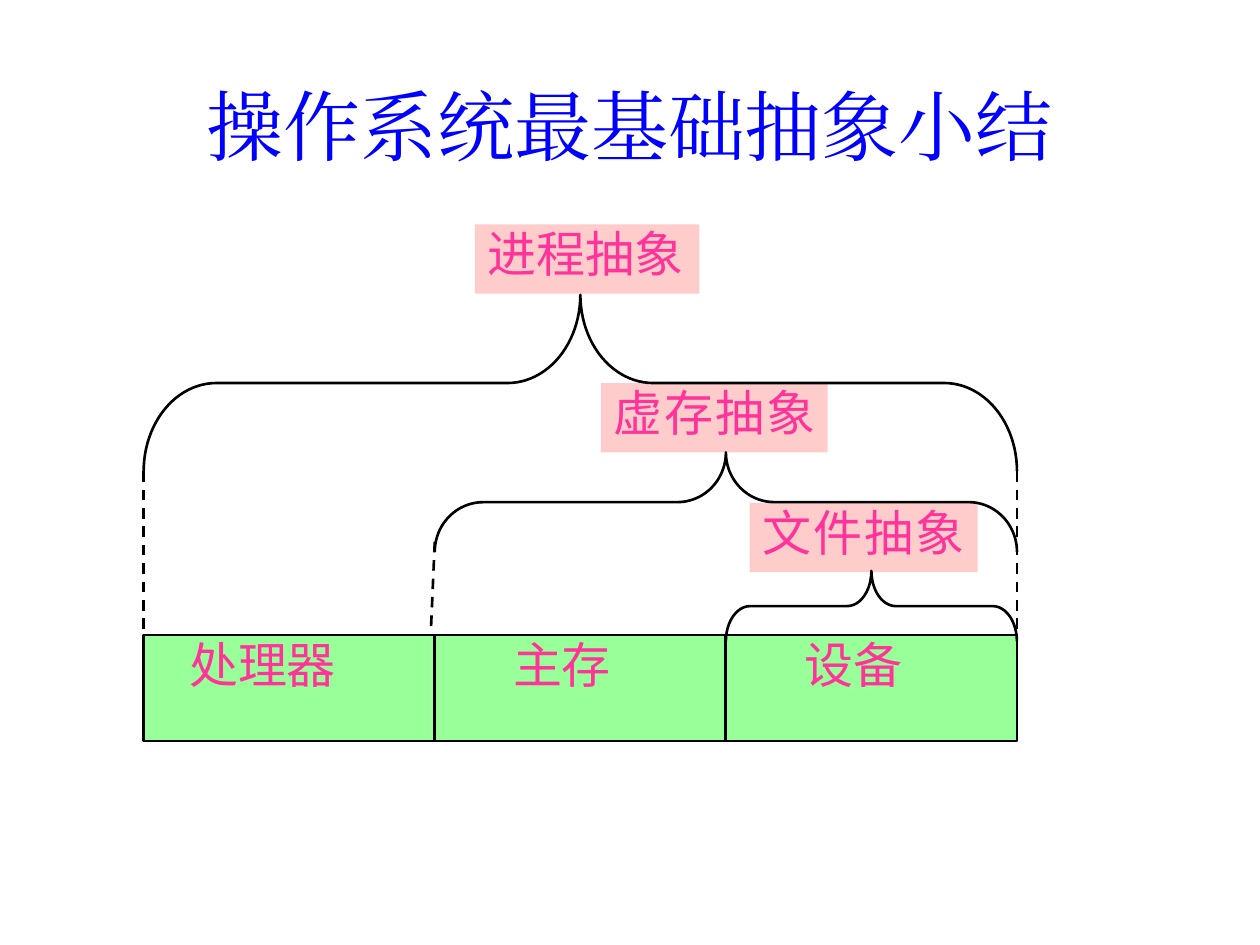
from dataclasses import dataclass

from lxml import etree
from pptx import Presentation
from pptx.dml.color import RGBColor
from pptx.enum.dml import MSO_LINE_DASH_STYLE as Dash
from pptx.enum.shapes import MSO_CONNECTOR as Link, MSO_SHAPE as Shape
from pptx.enum.text import MSO_ANCHOR as Anchor, PP_ALIGN as Align
from pptx.oxml.ns import qn
from pptx.util import Pt


@dataclass(frozen=True)
class Theme:
    title: RGBColor = RGBColor(0x00, 0x00, 0xFF)
    text: RGBColor = RGBColor(0xFF, 0x33, 0x99)
    label: RGBColor = RGBColor(0xFF, 0xCC, 0xCC)
    cell: RGBColor = RGBColor(0x99, 0xFF, 0x99)
    line: RGBColor = RGBColor(0x00, 0x00, 0x00)
    title_font: str = "Times New Roman"
    text_font: str = "Noto Sans CJK JP"
    title_size: int = 44
    text_size: int = 28
    line_width: float = 1.5


@dataclass(frozen=True)
class Box:
    left: float
    top: float
    width: float
    height: float

    def lengths(self):
        return [Pt(v) for v in (self.left, self.top, self.width, self.height)]


THEME = Theme()

# Label text, offset from the diagram's corner, width, letter spacing,
# first cell under the brace, brace top and depth
ABSTRACTIONS = [
    ("文件抽象", 346.3, 159.1, 130.3, 1.3, 2, 198, 40.3),
    ("虚存抽象", 261.3, 90.7, 129.6, 1.3, 1, 130.3, 56.9),
    ("进程抽象", 189.3, 0, 128.2, 0, 0, 40.3, 100.8),
]
LABEL_HEIGHT = 39.6
# Cell text and its left margin
RESOURCES = [("处理器", 26), ("主存", 44.8), ("设备", 44.8)]
CELL_HEIGHT = 60.5


def add_span(para, text, font, size, color, spacing=0):
    span = para.add_run()
    span.text = text
    span.font.name = font
    span.font.size = Pt(size)
    span.font.color.rgb = color
    props = span.font._element
    etree.SubElement(props, qn("a:ea")).set("typeface", font)
    if spacing:
        props.set("spc", str(round(spacing * 100)))


def style_line(line):
    line.color.rgb = THEME.line
    line.width = Pt(THEME.line_width)


def add_title(page, box, text):
    frame = page.shapes.add_textbox(*box.lengths()).text_frame
    frame.word_wrap = True
    frame.vertical_anchor = Anchor.MIDDLE
    para = frame.paragraphs[0]
    para.alignment = Align.CENTER
    add_span(para, text, THEME.title_font, THEME.title_size, THEME.title)


def add_block(page, box, text, fill, margin=7.2, spacing=0, outlined=False):
    block = page.shapes.add_shape(Shape.RECTANGLE, *box.lengths())
    block.shadow.inherit = False
    block.fill.solid()
    block.fill.fore_color.rgb = fill
    if outlined:
        style_line(block.line)
    else:
        block.line.fill.background()
    frame = block.text_frame
    frame.word_wrap = True
    frame.vertical_anchor = Anchor.TOP
    frame.margin_left, frame.margin_right = Pt(margin), Pt(0)
    para = frame.paragraphs[0]
    para.alignment = Align.LEFT
    para.line_spacing = 0.9
    add_span(para, text, THEME.text_font, THEME.text_size, THEME.text, spacing)


def add_brace(page, box):
    """Draw an upward brace that fills the box: a left brace turned by 90 degrees."""
    length, depth = box.width, box.height
    upright = Box(box.left + (length - depth) / 2, box.top + (depth - length) / 2,
                  depth, length)
    brace = page.shapes.add_shape(Shape.LEFT_BRACE, *upright.lengths())
    brace.rotation = 90
    brace.adjustments[0] = length / 12 / depth
    brace.shadow.inherit = False
    brace.fill.background()
    style_line(brace.line)


def add_dash(page, x1, y1, x2, y2):
    dash = page.shapes.add_connector(Link.STRAIGHT, Pt(x1), Pt(y1), Pt(x2), Pt(y2))
    style_line(dash.line)
    dash.line.dash_style = Dash.DASH
    etree.SubElement(dash._element.spPr, qn("a:effectLst"))


def add_diagram(page, box):
    cell_width = box.width / len(RESOURCES)
    right, bottom = box.left + box.width, box.top + box.height
    cell_top = bottom - CELL_HEIGHT

    # Abstraction labels
    for text, x, y, width, spacing, *_ in ABSTRACTIONS:
        place = Box(box.left + x, box.top + y, width, LABEL_HEIGHT)
        add_block(page, place, text, THEME.label, spacing=spacing)

    # Row of hardware resources
    for i, (text, margin) in enumerate(RESOURCES):
        place = Box(box.left + i * cell_width, cell_top, cell_width, CELL_HEIGHT)
        add_block(page, place, text, THEME.cell, margin, outlined=True)

    # Braces, each ending at the right edge
    for *_, first, y, depth in ABSTRACTIONS:
        left = box.left + first * cell_width
        add_brace(page, Box(left, box.top + y, right - left, depth))

    # Dashed guides from the braces down to the row
    dash_end = cell_top - 2.2
    inner = box.left + cell_width
    add_dash(page, inner, box.top + 181.4, inner - 2.2, dash_end)
    for x in (box.left, right):
        add_dash(page, x, box.top + 141.1, x, dash_end)


def main():
    deck = Presentation()
    deck.slide_width, deck.slide_height = Pt(720), Pt(540)
    page = deck.slides.add_slide(deck.slide_layouts[6])
    add_title(page, Box(54, 26, 612, 90), "操作系统最基础抽象小结")
    add_diagram(page, Box(82.1, 128.2, 499, 295.2))
    deck.save("out.pptx")


if __name__ == "__main__":
    main()
